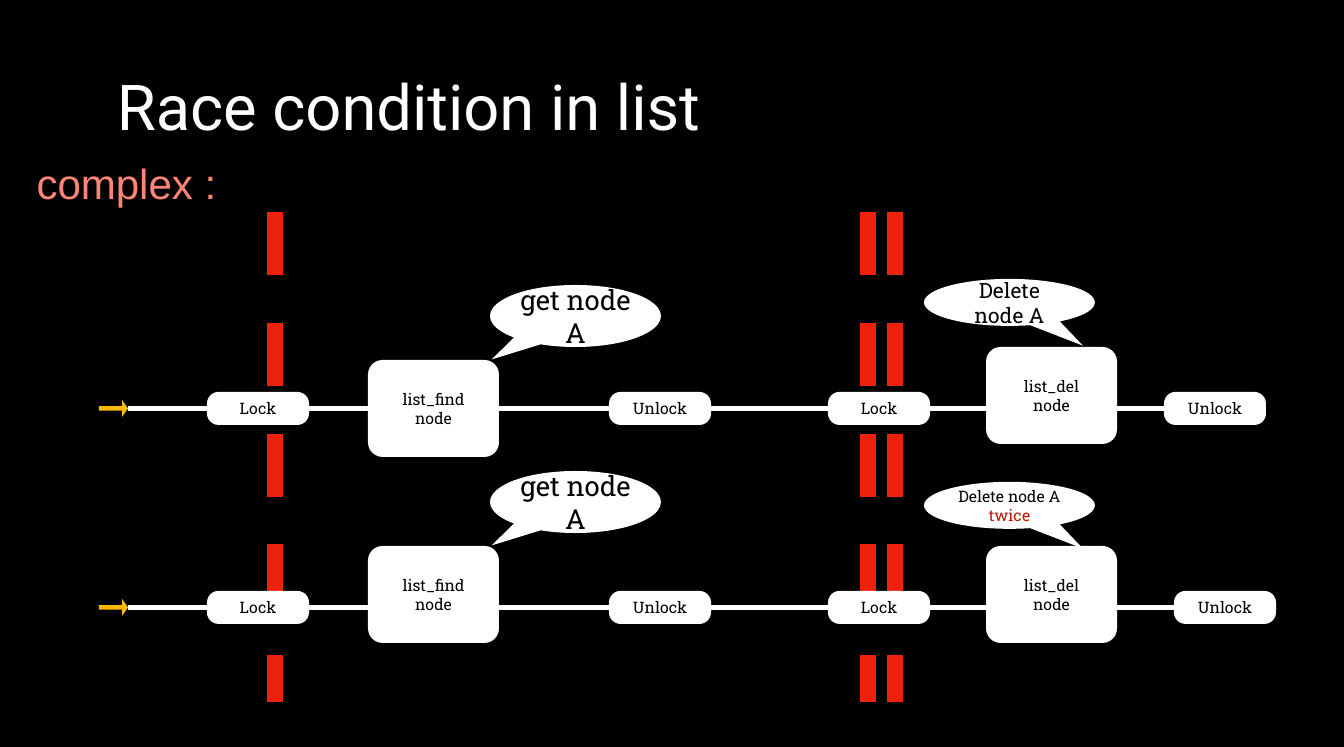
import collections

import lxml.etree
import pptx
import pptx.dml.color
import pptx.enum.dml
import pptx.enum.shapes
import pptx.enum.text
import pptx.oxml.ns
import pptx.util

PX = 4823
COLORS = {
    "background": "000000", "white": "FFFFFF", "ink": "000000", "barrier": "EE220C",
    "start": "F8BA00", "subtitle": "FD8578", "warning": "B51700",
}
SHAPES = pptx.enum.shapes.MSO_SHAPE
ALIGN = pptx.enum.text.PP_ALIGN
Box = collections.namedtuple("Box", "left top width height")


def color(name):
    """Return the named colour."""
    return pptx.dml.color.RGBColor.from_string(COLORS[name])


def scaled(box):
    """Turn a pixel box into EMU lengths."""
    return [length * PX for length in box]


def write(frame, paragraphs, size, font="Roboto Slab", align=ALIGN.CENTER, inset=4):
    """Fill a frame with paragraphs of (text, colour) runs."""
    frame.margin_left = frame.margin_right = inset * PX
    frame.margin_top = frame.margin_bottom = inset * PX
    frame.vertical_anchor = pptx.enum.text.MSO_ANCHOR.MIDDLE
    for index, runs in enumerate(paragraphs):
        para = frame.add_paragraph() if index else frame.paragraphs[0]
        para.alignment = align
        for text, tint in runs:
            span = para.add_run()
            span.text = text
            span.font.size = pptx.util.Pt(size)
            span.font.name = font
            span.font.color.rgb = color(tint)


def add_block(page, kind, box, adjustments, fill="white"):
    """Add a flat filled shape."""
    shape = page.shapes.add_shape(kind, *scaled(box))
    shape.shadow.inherit = False
    shape.fill.solid()
    shape.fill.fore_color.rgb = color(fill)
    shape.line.fill.background()
    for index, value in enumerate(adjustments):
        shape.adjustments[index] = value
    return shape


def add_line(page, start, end, tint, width):
    """Add a straight line without a shadow."""
    line = page.shapes.add_connector(
        pptx.enum.shapes.MSO_CONNECTOR.STRAIGHT, *scaled(start + end))
    line.line.color.rgb = color(tint)
    line.line.width = pptx.util.Pt(width)
    properties = line._element.spPr
    lxml.etree.SubElement(properties, pptx.oxml.ns.qn("a:effectLst"))
    return line


def add_barriers(page, box, offsets):
    """Draw dashed vertical barriers at offsets across the box."""
    for offset in offsets:
        x = box.left + offset
        barrier = add_line(page, (x, box.top), (x, box.top + box.height), "barrier", 6)
        barrier.line.dash_style = pptx.enum.dml.MSO_LINE.DASH


def add_button(page, left, axis, label):
    """Add a lock or unlock button centred on the lane axis."""
    button = add_block(page, SHAPES.ROUNDED_RECTANGLE,
                       Box(left, axis - 16, 102, 33), [0.35])
    write(button.text_frame, [[(label, "ink")]], 6)
    return button


def add_operation(page, box, name):
    """Add a list operation on a node."""
    operation = add_block(page, SHAPES.ROUNDED_RECTANGLE, box, [0.15])
    write(operation.text_frame, [[(name, "ink")], [("node", "ink")]], 6)


def add_callout(page, box, runs, size, pointer):
    """Add a speech bubble that points at an operation."""
    callout = add_block(page, SHAPES.OVAL_CALLOUT, box, pointer)
    write(callout.text_frame, [runs], size)


def add_lane(page, box, find_top, delete_top, bubble_top, delete_runs, delete_size):
    """Draw one thread's timeline inside the box."""
    left, top = box.left, box.top
    axis = top + 137
    arrow = add_block(page, SHAPES.RIGHT_ARROW, Box(left, axis - 8, 29, 17),
                      [0.27, 0.35], "start")
    last = add_button(page, left + box.width - 102, axis, "Unlock")
    line = add_line(page, (left + 29, axis), (left + box.width - 102, axis), "white", 2)
    line.begin_connect(arrow, 3)
    line.end_connect(last, 1)
    for offset, label in ((108, "Lock"), (510, "Unlock"), (729, "Lock")):
        add_button(page, left + offset, axis, label)
    add_operation(page, Box(left + 269, top + find_top, 131, 97), "list_find")
    add_operation(page, Box(left + 887, top + delete_top, 131, 97), "list_del")
    add_callout(page, Box(left + 391, top + find_top - 75, 171, 62),
                [("get node A", "ink")], 10.5, [-0.49, 0.7])
    add_callout(page, Box(left + 825, top + bubble_top, 171, 47),
                delete_runs, delete_size, [0.43, 0.92])


def add_title(page, box):
    """Place and format the title."""
    title = page.shapes.title
    title.left, title.top, title.width, title.height = scaled(box)
    frame = title.text_frame
    write(frame, [[("Race condition in list", "white")]], 24, "Roboto", ALIGN.LEFT, 11)
    frame.word_wrap = False
    frame.auto_size = pptx.enum.text.MSO_AUTO_SIZE.SHAPE_TO_FIT_TEXT
    frame.paragraphs[0].line_spacing = 0.9
    frame.paragraphs[0].space_before = pptx.util.Pt(10)


def add_subtitle(page, box):
    """Add the case label under the title."""
    frame = page.shapes.add_textbox(*scaled(box)).text_frame
    write(frame, [[("complex :", "subtitle")]], 16, "Arial")
    frame.word_wrap = False
    frame.auto_size = pptx.enum.text.MSO_AUTO_SIZE.SHAPE_TO_FIT_TEXT


def main():
    """Build the slide and save it."""
    deck = pptx.Presentation()
    deck.slide_width, deck.slide_height = scaled((1344, 747))
    page = deck.slides.add_slide(deck.slide_layouts[5])
    page.background.fill.solid()
    page.background.fill.fore_color.rgb = color("background")
    add_barriers(page, Box(275, 212, 620, 490), (620, 593, 0))
    add_lane(page, Box(99, 271, 1167, 186), 89, 76, 8,
             [("Delete node A", "ink")], 8)
    add_lane(page, Box(99, 470, 1177, 173), 76, 76, 12,
             [("Delete node A ", "ink"), ("twice", "warning")], 6)
    add_subtitle(page, Box(26, 152, 201, 61))
    add_title(page, Box(106, 64, 607, 91))
    deck.save("out.pptx")


if __name__ == "__main__":
    main()
